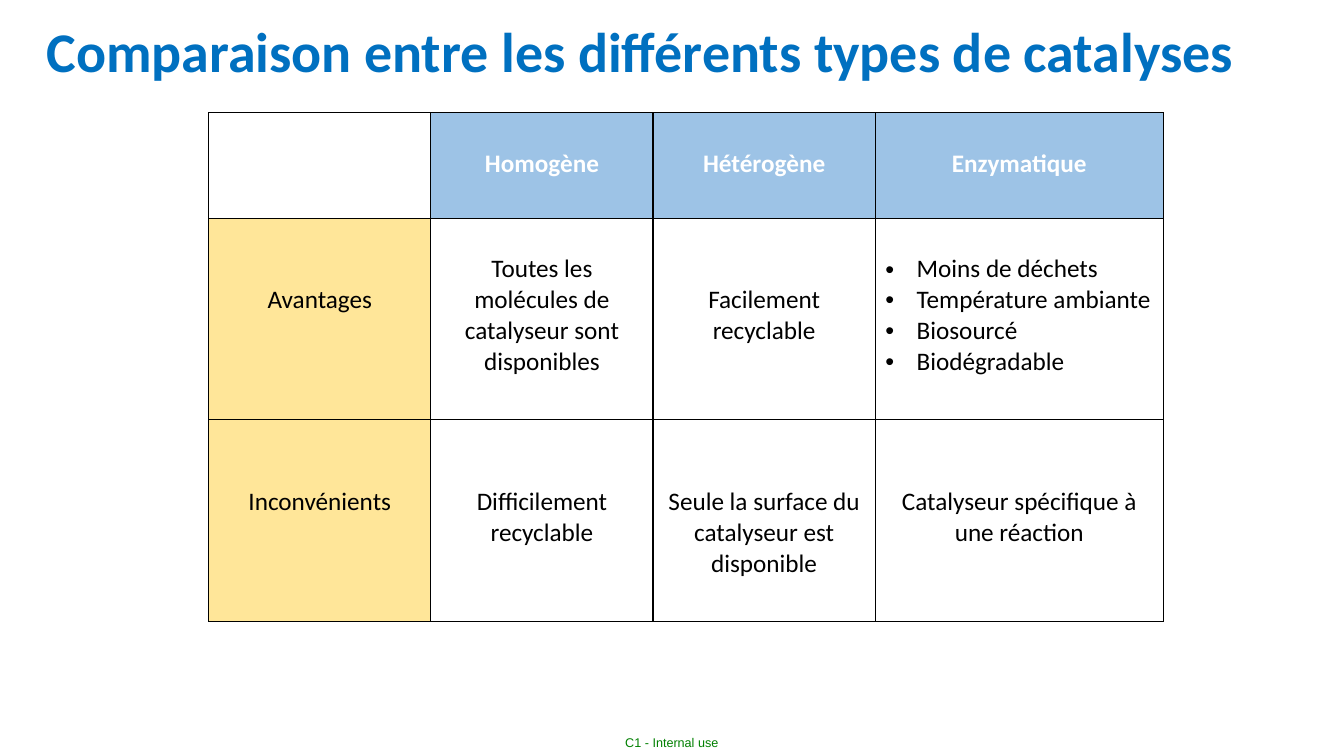
"""Build a slide comparing three types of catalysis in a table."""
from lxml.etree import SubElement
from pptx import Presentation
from pptx.dml.color import RGBColor
from pptx.enum.text import MSO_ANCHOR, MSO_AUTO_SIZE, PP_ALIGN
from pptx.oxml.ns import qn
from pptx.util import Cm, Pt

BLACK = RGBColor(0x00, 0x00, 0x00)
WHITE = RGBColor(0xFF, 0xFF, 0xFF)
TITLE_BLUE = RGBColor(0x00, 0x70, 0xC0)
HEADER_BLUE = RGBColor(0x9D, 0xC3, 0xE6)
LABEL_YELLOW = RGBColor(0xFF, 0xE6, 0x99)
FOOTER_GREEN = RGBColor(0x00, 0x80, 0x00)

ONE_LINE_DOWN = Cm(0.9)
TWO_LINES_DOWN = Cm(1.68)
COLUMN_WIDTHS = [Cm(5.6), Cm(5.6), Cm(5.6), Cm(7.26)]
ROW_HEIGHTS = [Cm(2.66), Cm(5.08), Cm(5.08)]
ROWS = [
    ["", "Homogène", "Hétérogène", "Enzymatique"],
    [
        "Avantages",
        "Toutes les molécules de catalyseur sont disponibles",
        "Facilement recyclable",
        "Moins de déchets\nTempérature ambiante\nBiosourcé\nBiodégradable",
    ],
    [
        "Inconvénients",
        "Difficilement recyclable",
        "Seule la surface du catalyseur est disponible",
        "Catalyseur spécifique à une réaction",
    ],
]
TOP_MARGINS = [
    [ONE_LINE_DOWN] * 4,
    [TWO_LINES_DOWN, ONE_LINE_DOWN, TWO_LINES_DOWN, ONE_LINE_DOWN],
    [TWO_LINES_DOWN] * 4,
]


def style_text(paragraph, name, size, color, bold=False, align=PP_ALIGN.CENTER):
    paragraph.alignment = align
    font = paragraph.font
    font.name, font.size, font.bold = name, Pt(size), bold
    font.color.rgb = color


def add_borders(cell):
    properties = cell._tc.get_or_add_tcPr()
    for side in ("a:lnL", "a:lnR", "a:lnT", "a:lnB"):
        line = SubElement(properties, qn(side), w=str(Pt(1)))
        fill = SubElement(line, qn("a:solidFill"))
        SubElement(fill, qn("a:srgbClr"), val=str(BLACK))


deck = Presentation()
deck.slide_width, deck.slide_height = Cm(33.87), Cm(19.05)
page = deck.slides.add_slide(deck.slide_layouts[5])

title = page.shapes.title
title.left, title.top, title.width, title.height = Cm(0.28), Cm(0.28), Cm(31.7), Cm(1.96)
title.text_frame.text = "Comparaison entre les différents types de catalyses"
title.text_frame.auto_size = MSO_AUTO_SIZE.NONE
title.text_frame.vertical_anchor = MSO_ANCHOR.TOP
style_text(title.text_frame.paragraphs[0], "Calibri", 40, TITLE_BLUE, bold=True)

table = page.shapes.add_table(
    len(ROW_HEIGHTS), len(COLUMN_WIDTHS), Cm(5.26), Cm(2.84), sum(COLUMN_WIDTHS), sum(ROW_HEIGHTS)
).table
table.first_row = table.horz_banding = False
for column, width in zip(table.columns, COLUMN_WIDTHS):
    column.width = width
for row, height in zip(table.rows, ROW_HEIGHTS):
    row.height = height

for row_index, texts in enumerate(ROWS):
    for column_index, text in enumerate(texts):
        cell = table.cell(row_index, column_index)
        is_header = row_index == 0 and column_index > 0
        is_label = column_index == 0 and row_index > 0
        add_borders(cell)
        cell.fill.solid()
        cell.fill.fore_color.rgb = HEADER_BLUE if is_header else LABEL_YELLOW if is_label else WHITE
        cell.margin_top = TOP_MARGINS[row_index][column_index]
        cell.text = text
        is_list = "\n" in text
        for paragraph in cell.text_frame.paragraphs:
            style_text(
                paragraph, "Calibri", 18, WHITE if is_header else BLACK, bold=is_header,
                align=PP_ALIGN.LEFT if is_list else PP_ALIGN.CENTER,
            )
            if is_list:
                properties = paragraph._p.get_or_add_pPr()
                properties.set("marL", str(Cm(0.79)))
                properties.set("indent", str(-Cm(0.79)))
                bullet_font = SubElement(properties, qn("a:buFont"), typeface="Arial")
                bullet = SubElement(properties, qn("a:buChar"), char="•")
                properties.remove(bullet_font)
                properties.remove(bullet)
                properties.insert(0, bullet_font)
                properties.insert(1, bullet)

footer = page.shapes.add_textbox(Cm(15.34), Cm(18.39), Cm(3.18), Cm(0.66))
frame = footer.text_frame
frame.margin_left = frame.margin_right = frame.margin_top = frame.margin_bottom = 0
frame.word_wrap = True
frame.vertical_anchor = MSO_ANCHOR.MIDDLE
frame.text = "C1 - Internal use"
style_text(frame.paragraphs[0], "Arial", 9, FOOTER_GREEN)

deck.save("out.pptx")
